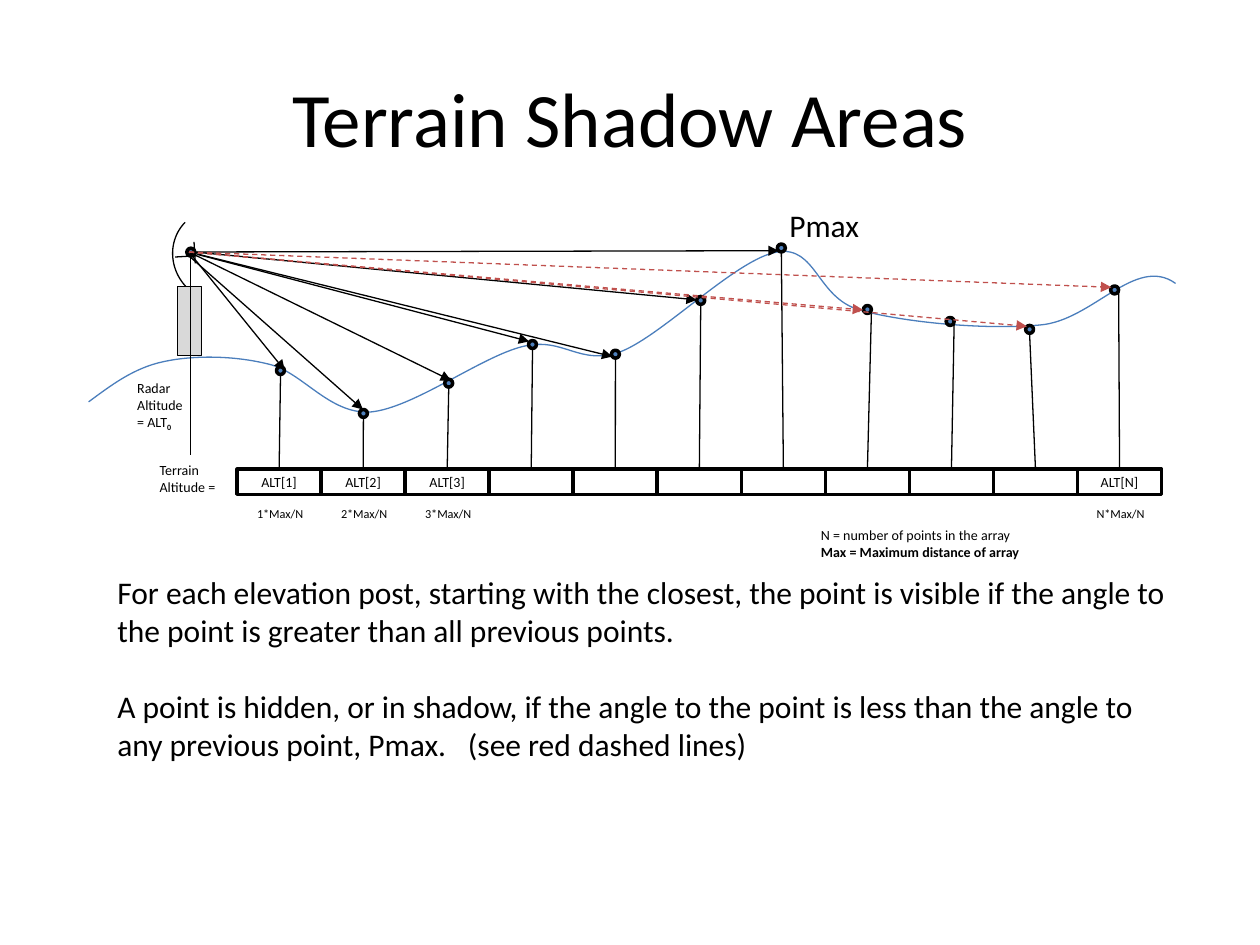
"""Build the slide on terrain shadow areas, laid out on a grid of 100 columns by 75 rows."""
from dataclasses import dataclass

from lxml import etree
from pptx import Presentation
from pptx import util as u
from pptx.dml.color import RGBColor
from pptx.enum import dml, shapes, text
from pptx.oxml.ns import qn

COLUMNS, ROWS = 100, 75
UNIT = u.Inches(10) // COLUMNS
BLACK, RED, BLUE, TERRAIN_BLUE, GREY = "000000", "C0504D", "4F81BD", "4B7EBC", "D9D9D9"
FONT = "Calibri"
DOT = 0.63
ARRAY_LEFT, ARRAY_TOP, CELL_WIDTH, CELL_HEIGHT = 18.82, 37.24, 6.67, 2
Point = tuple[float, float]


@dataclass
class Post:
    """An elevation post; stem is where its stem leaves the dot, as shares of the dot."""
    left: float
    top: float
    altitude: str = ""
    distance: str = ""
    stem: Point = (0.5, 1)


@dataclass
class Ray:
    """A line of sight from the radar."""
    end: Point
    start: Point = (15, 20)
    color: str = BLACK


@dataclass
class Words:
    """A run of text; baseline and spacing are in the units of the file format."""
    content: str
    bold: bool = False
    baseline: int = 0
    spacing: int = 0


@dataclass
class Label:
    """A free-standing text whose paragraphs are lists of runs."""
    box: tuple[float, float, float, float]
    size: float
    paragraphs: list[list[Words]]
    wrap: bool = False
    gap: float = 0


POSTS = [
    Post(21.95, 29.1, "ALT[1]", "1*Max/N"),
    Post(28.53, 32.5, "ALT[2]", "2*Max/N"),
    Post(35.3, 30.1, "ALT[3]", "3*Max/N"),
    Post(41.95, 27.03), Post(48.53, 27.8), Post(55.3, 23.53), Post(61.7, 19.37),
    Post(68.53, 24.25, stem=(1, 1)), Post(75.1, 25.2, stem=(1, 0.5)), Post(81.4, 25.83),
    Post(88.15, 22.7, "ALT[N]", "N*Max/N", (1, 0.5)),
]
RAYS = [
    Ray((42, 27.1), (15.7, 20.2)), Ray((55.3, 23.8), (15.4, 20)), Ray((61.8, 19.9)),
    Ray((35.8, 30.2)), Ray((28.8, 32.5), (15.1, 20.4)), Ray((22.6, 29.4)),
    Ray((48.6, 28.3)), Ray((68.5, 24.6), color=RED), Ray((81.5, 25.9), color=RED),
    Ray((88.2, 22.8), color=RED),
]
TERRAIN_START = (7.03, 31.9)
TERRAIN = [
    (8.8, 30.6), (10.6, 29.2), (13, 28.7), (15.3, 28.2), (18.5, 28.2), (21.3, 28.9),
    (24, 29.5), (26.1, 32.9), (29.4, 32.7), (32.8, 32.4), (38.2, 28.3), (41.5, 27.5),
    (44.8, 26.7), (45.9, 29.1), (49.3, 27.9), (52.6, 26.6), (58.5, 20.5), (61.7, 20),
    (64.8, 19.5), (64.8, 23.6), (68.2, 24.6), (71.7, 25.6), (78.3, 26.2), (82.5, 25.8),
    (86.7, 25.5), (90.1, 20.2), (93.3, 22.5),
]
LABELS = [
    Label((11.68, 36.15, 6.8, 3.7), 8, [[Words("Terrain")], [Words("Altitude =")]]),
    Label((9.9, 29.63, 5.8, 5), 8, [[Words("Radar")], [Words("Altitude")],
                                   [Words("= ALT"), Words("0", True, -25000)]]),
    Label((64.17, 41.3, 20, 3.7), 8, [[Words("N = number of points in the array")],
                                     [Words("Max = Maximum distance of array", True)]]),
    Label((8.33, 45, 86.7, 19.2), 18, [
        [Words("For each elevation post, starting with the closest, the point is visible "
               "if the angle to the point is greater than all previous points.")],
        [Words("A point is hidden, or in shadow, if the angle to the point is less than "
               "the angle to any previous point, Pmax."), Words(" ", spacing=820),
         Words("(see red dashed lines)")]], True, 21.7),
    Label((61.66, 15.85, 7.6, 4), 18, [[Words("Pmax")]]),
]


def grid(*lengths: float) -> list[int]:
    """Turn grid units into slide lengths."""
    return [round(length * UNIT) for length in lengths]


def rgb(color: str) -> RGBColor:
    """Turn a hex string into a colour."""
    return RGBColor.from_string(color)


def write(paragraph, words: Words, size: float) -> None:
    """Add one formatted run to a paragraph."""
    run = paragraph.add_run()
    run.text = words.content
    run.font.name, run.font.size, run.font.bold = FONT, u.Pt(size), words.bold
    run.font.color.rgb = rgb(BLACK)
    for attribute, value in (("baseline", words.baseline), ("spc", words.spacing)):
        if value:
            run._r.get_or_add_rPr().set(attribute, str(value))


def center(frame, words: str, size: float) -> None:
    """Write one centred line in the middle of a frame."""
    frame.word_wrap = True
    frame.vertical_anchor = text.MSO_ANCHOR.MIDDLE
    frame.paragraphs[0].alignment = text.PP_ALIGN.CENTER
    write(frame.paragraphs[0], Words(words), size)


def style(shape, color: str, width: float, fill: str = "") -> None:
    """Give a shape its outline and fill, without shadow."""
    shape.shadow.inherit = False
    shape.line.color.rgb, shape.line.width = rgb(color), u.Pt(width)
    if fill:
        shape.fill.solid()
        shape.fill.fore_color.rgb = rgb(fill)
    else:
        shape.fill.background()


def draw_shape(slide, kind, box, width: float, fill: str = ""):
    """Draw a preset shape with a black outline."""
    shape = slide.shapes.add_shape(kind, *grid(*box))
    style(shape, BLACK, width, fill)
    return shape


def draw_line(slide, start: Point, end: Point, color: str = BLACK):
    """Draw a thin straight line."""
    line = slide.shapes.add_connector(shapes.MSO_CONNECTOR.STRAIGHT, *grid(*start, *end))
    line.line.color.rgb, line.line.width = rgb(color), u.Pt(0.75)
    etree.SubElement(line._element.spPr, qn("a:effectLst"))
    return line


def draw_ray(slide, ray: Ray) -> None:
    """Draw a line of sight with an arrowhead, dashed when the post is hidden."""
    line = draw_line(slide, ray.start, ray.end, ray.color)
    if ray.color == RED:
        line.line.dash_style = dml.MSO_LINE.DASH
    etree.SubElement(line.line._get_or_add_ln(), qn("a:tailEnd"), type="triangle")


def draw_dot(slide, left: float, top: float) -> None:
    """Draw the round mark of a post or of the antenna."""
    draw_shape(slide, shapes.MSO_SHAPE.OVAL, (left, top, DOT, DOT), 2, BLUE)


def draw_terrain(slide) -> None:
    """Draw the terrain profile, joining each three points into one cubic curve."""
    builder = slide.shapes.build_freeform(*grid(*TERRAIN_START))
    builder.add_line_segments([grid(*point) for point in TERRAIN], close=False)
    profile = builder.convert_to_shape()
    style(profile, TERRAIN_BLUE, 0.75)
    segments = list(profile._element.iter(qn("a:lnTo")))
    for first in range(0, len(segments), 3):
        curve = etree.SubElement(segments[first].getparent(), qn("a:cubicBezTo"))
        for segment in segments[first:first + 3]:
            curve.append(segment[0])
            segment.getparent().remove(segment)


def draw_radar(slide) -> None:
    """Draw the dish and the mast."""
    dish = draw_shape(slide, shapes.MSO_SHAPE.ARC, (13.6, 16.7, 7.6, 7.2), 0.75)
    dish.rotation = 224.4
    draw_line(slide, (13.9, 20.4), (15.6, 20.3))
    draw_line(slide, (15.4, 19.2), (15.5, 20.9))
    draw_shape(slide, shapes.MSO_SHAPE.RECTANGLE, (14.1, 22.75, 1.9, 5.5), 0.5, GREY)


def draw_post(slide, index: int, post: Post) -> None:
    """Draw a post, its array cell, the stem between them and the distance below."""
    left = ARRAY_LEFT + index * CELL_WIDTH
    draw_dot(slide, post.left, post.top)
    cell = draw_shape(slide, shapes.MSO_SHAPE.RECTANGLE,
                      (left, ARRAY_TOP, CELL_WIDTH, CELL_HEIGHT), 2)
    share_x, share_y = post.stem
    stem = draw_line(slide, (post.left + share_x * DOT, post.top + share_y * DOT),
                     (left + CELL_WIDTH / 2, ARRAY_TOP))
    stem.end_connect(cell, 0)
    if post.altitude:
        center(cell.text_frame, post.altitude, 8)
        distance = slide.shapes.add_textbox(*grid(left + 0.08, 39.74, CELL_WIDTH, CELL_HEIGHT))
        center(distance.text_frame, post.distance, 7)


def draw_label(slide, label: Label) -> None:
    """Draw a free-standing text."""
    frame = slide.shapes.add_textbox(*grid(*label.box)).text_frame
    frame.word_wrap = label.wrap
    for index, runs in enumerate(label.paragraphs):
        paragraph = frame.add_paragraph() if index else frame.paragraphs[0]
        paragraph.space_before = u.Pt(label.gap if index else 0)
        for words in runs:
            write(paragraph, words, label.size)


def main() -> None:
    """Build and save the slide."""
    deck = Presentation()
    deck.slide_width, deck.slide_height = COLUMNS * UNIT, ROWS * UNIT
    slide = deck.slides.add_slide(deck.slide_layouts[5])
    title = slide.shapes.title
    title.left, title.top, title.width, title.height = grid(5, 3, 90, 12.5)
    center(title.text_frame, "Terrain Shadow Areas", 44)
    draw_radar(slide)
    draw_terrain(slide)
    draw_dot(slide, 14.83, 19.7)
    draw_line(slide, (15.1, 20.4), (15.1, 36.1))
    for index, post in enumerate(POSTS):
        draw_post(slide, index, post)
    for ray in RAYS:
        draw_ray(slide, ray)
    for label in LABELS:
        draw_label(slide, label)
    deck.save("out.pptx")


if __name__ == "__main__":
    main()
